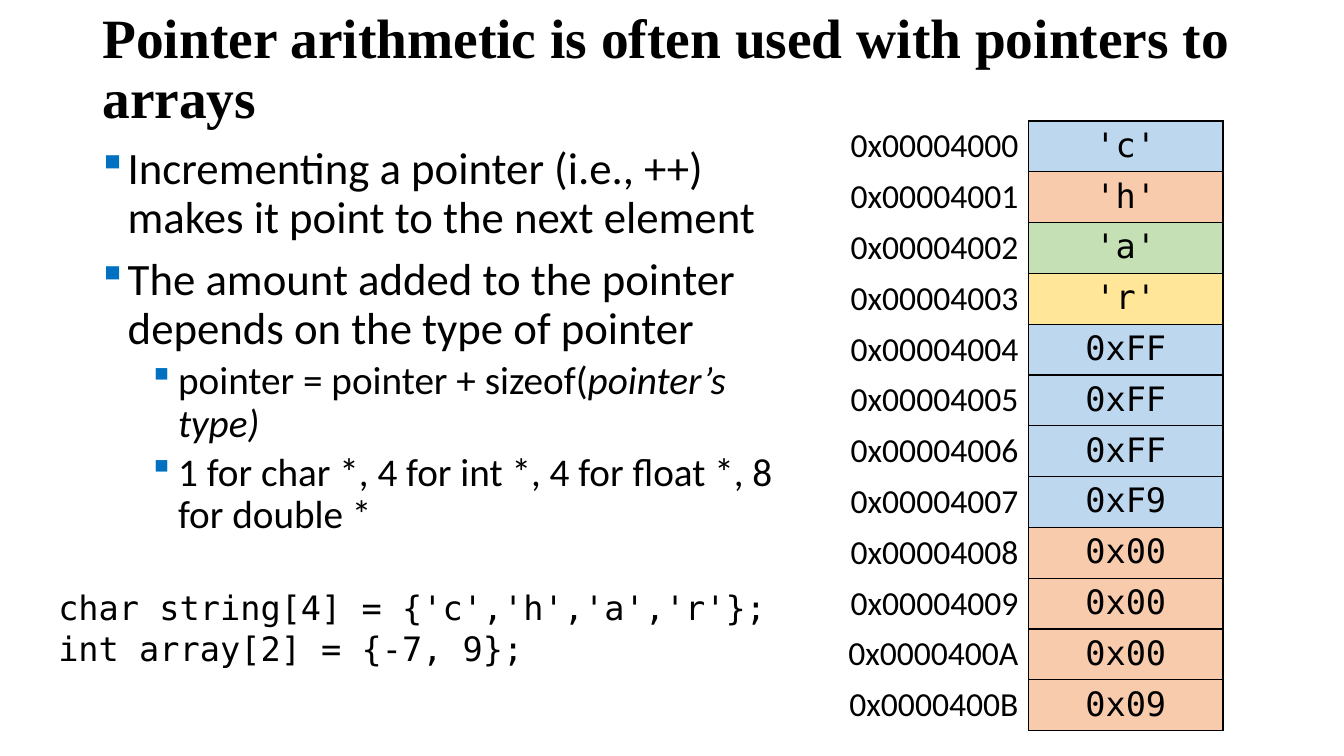
from pptx import Presentation
from pptx.dml.color import RGBColor
from pptx.enum.text import MSO_ANCHOR as Anchor, PP_ALIGN as Align
from pptx.oxml import parse_xml
from pptx.oxml.ns import nsdecls
from pptx.util import Cm, Pt

MONO = "DejaVu Sans Mono"
BLUE, ORANGE, GREEN, YELLOW = "BDD7EE", "F8CBAD", "C5E0B4", "FFE699"


def rgb(value):
    return RGBColor.from_string(value)


def add_run(p, text, **fmt):
    r = p.add_run()
    r.text = text
    r.font.color.rgb = rgb("000000")
    for name, value in fmt.items():
        setattr(r.font, name, value)


prs = Presentation()
prs.slide_width, prs.slide_height = Cm(33.87), Cm(19.05)
s = prs.slides.add_slide(prs.slide_layouts[6])

boxes = {
    "title": (2.33, 0.51, 29.21, 2.54),
    "body": (2.33, 3.56, 17.45, 14.99),
    "code": (1.22, 14.67, 19.13, 2.31),
}
frames = {}
for name, box in boxes.items():
    frames[name] = s.shapes.add_textbox(*map(Cm, box)).text_frame
    frames[name].word_wrap = True

tf = frames["title"]
tf.vertical_anchor = Anchor.MIDDLE
p = tf.paragraphs[0]
p.line_spacing = 0.9
add_run(p, "Pointer arithmetic is often used with pointers to arrays",
        name="Times New Roman", size=Pt(39.6), bold=True)

bullets = [
    (0, [("Incrementing a pointer (i.e., ++) makes it point to the next element", False)]),
    (0, [("The amount added to the pointer depends on the type of pointer", False)]),
    (1, [("pointer = pointer + sizeof(", False), ("pointer’s type)", True)]),
    (1, [("1 for char *, 4 for int *, 4 for float *, 8 for double *", False)]),
]
levels = [
    {"size": 32, "before": 10, "indent": 0.64},
    {"size": 28, "before": 5, "indent": 1.91},
]
tf = frames["body"]
for i, (level, runs) in enumerate(bullets):
    style = levels[level]
    p = tf.add_paragraph() if i else tf.paragraphs[0]
    fmt = {"level": level, "line_spacing": 0.9, "space_before": Pt(style["before"])}
    for name, value in fmt.items():
        setattr(p, name, value)
    pPr = p._p.get_or_add_pPr()
    pPr.set("marL", str(Cm(style["indent"])))
    pPr.set("indent", str(-Cm(0.64)))
    for xml in (f'<a:buClr {nsdecls("a")}><a:srgbClr val="0070C0"/></a:buClr>',
                f'<a:buFont {nsdecls("a")} typeface="Wingdings" charset="2"/>',
                f'<a:buChar {nsdecls("a")} char="§"/>'):
        pPr.append(parse_xml(xml))
    for text, italic in runs:
        add_run(p, text, name="Calibri", size=Pt(style["size"]), italic=italic)

tf = frames["code"]
for i, line in enumerate(["char string[4] = {'c','h','a','r'};", "int array[2] = {-7, 9};"]):
    p = tf.add_paragraph() if i else tf.paragraphs[0]
    add_run(p, line, name=MONO, size=Pt(24))

values = ["'c'", "'h'", "'a'", "'r'", "0xFF", "0xFF", "0xFF", "0xF9",
          "0x00", "0x00", "0x00", "0x09"]
fills = [BLUE, ORANGE, GREEN, YELLOW] + [BLUE] * 4 + [ORANGE] * 4
row_height = 1.28
memory = s.shapes.add_table(len(values), 2, Cm(21.02), Cm(3.05), Cm(9.8),
                            Cm(row_height * len(values))).table
memory.first_row = memory.horz_banding = False
for col in memory.columns:
    col.width = Cm(4.9)
for i, (value, fill) in enumerate(zip(values, fills)):
    memory.rows[i].height = Cm(row_height)
    columns = [
        (f"0x{0x4000 + i:08X}", "Calibri", Align.RIGHT, "R", None),
        (value, MONO, Align.CENTER, "LRTB", fill),
    ]
    for j, (text, font, align, sides, color) in enumerate(columns):
        cell = memory.cell(i, j)
        p = cell.text_frame.paragraphs[0]
        p.alignment = align
        add_run(p, text, name=font, size=Pt(24))
        tcPr = cell._tc.get_or_add_tcPr()
        for side in sides:
            tcPr.append(parse_xml(
                f'<a:ln{side} {nsdecls("a")} w="{Pt(1)}"><a:solidFill>'
                f'<a:srgbClr val="000000"/></a:solidFill></a:ln{side}>'))
        if color:
            cell.fill.solid()
            cell.fill.fore_color.rgb = rgb(color)
        else:
            cell.fill.background()

prs.save("out.pptx")
